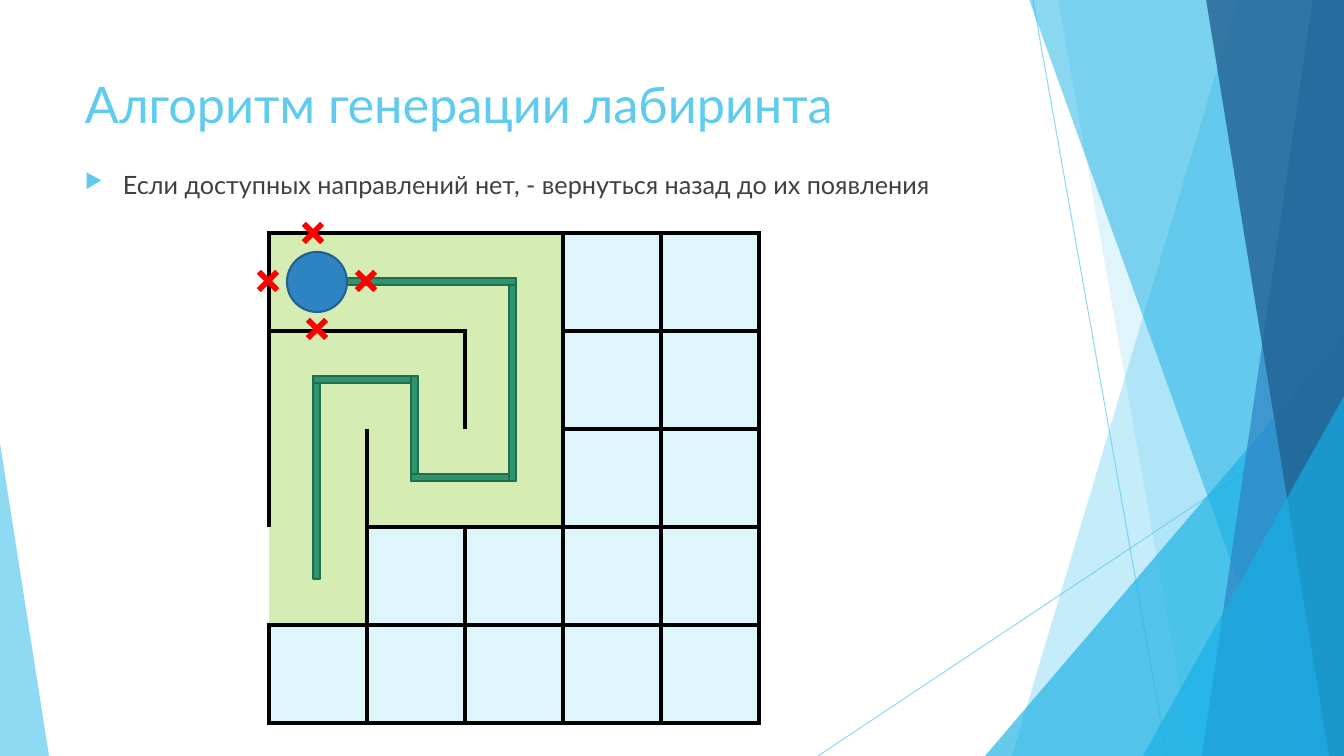
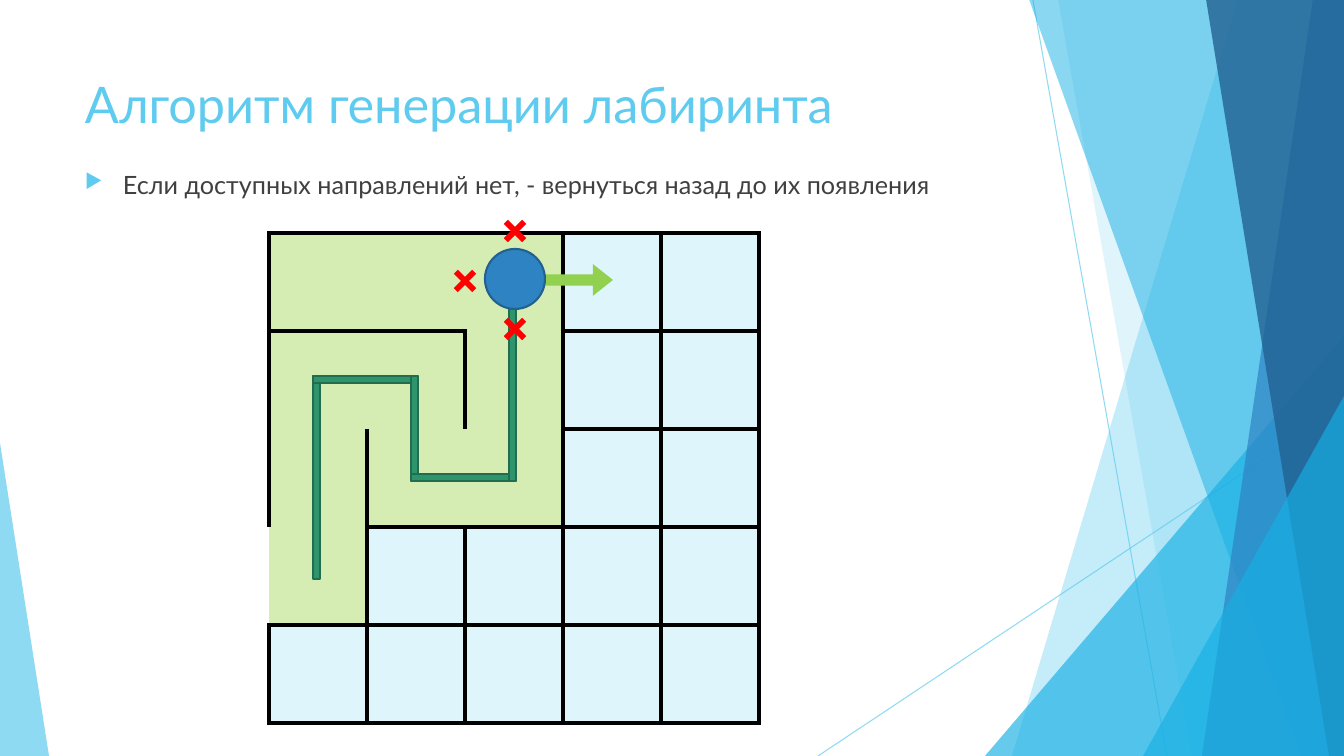
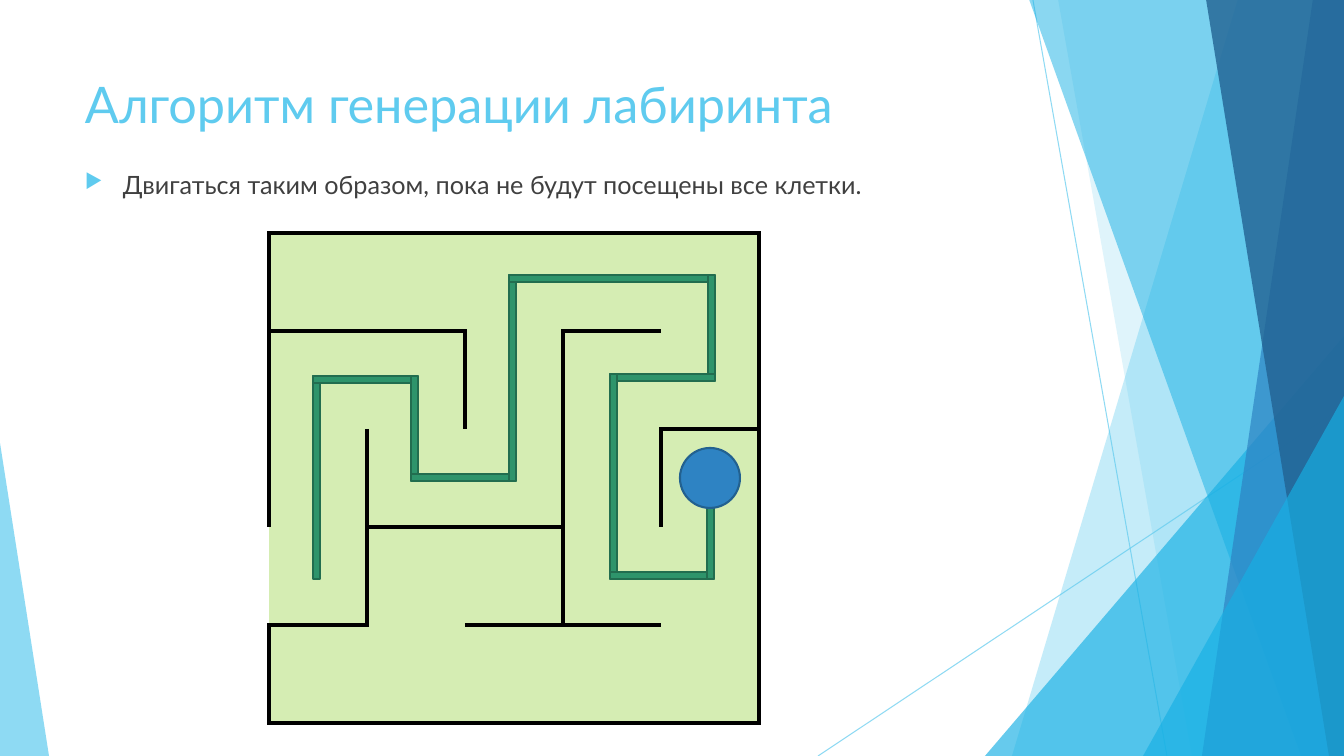
import itertools

import pptx
import pptx.util
import pptx.dml.color
import pptx.enum.shapes
import pptx.enum.text
import pptx.oxml.ns
import pptx.oxml.xmlchemy

SCALE = 914400 / 100.8  # EMU in one px
WIDE, HIGH = 1344, 756
FONT = "Lato"
HUES = {
    "sky": "5FCBEF", "cyan": "17B0E4", "blue": "2E83C3", "navy": "226292",
    "rim": "226190", "text": "404040", "wall": "000000", "seen": "D5EDB3",
    "fresh": "DFF5FC", "trail": "2E946B", "edge": "226D4F", "red": "FF0000",
    "go": "92D050",
}
KIND = pptx.enum.shapes.MSO_SHAPE
NO_GRID = "{2D5ABB26-0587-4C30-8999-92F81FD0307C}"

# Maze: one cell size, corner of the grid and cells per side
CELL, LEFT, TOP, SIDE = 98, 269, 233, 5
BAR, BALL, CROSS = 7, 60, 26

TITLE = "Алгоритм генерации лабиринта"
BACK = "Если доступных направлений нет, - вернуться назад до их появления"
DONE = "Двигаться таким образом, пока не будут посещены все клетки."

# Walls: "flat" has one row per grid line, "tall" one row per cell row
HALF = {
    "seen": ["11100", "11100", "11100", "10000", "00000"],
    "flat": ["11111", "11011", "00011", "01111", "11111", "11111"],
    "tall": ["100111", "101111", "110111", "011111", "111111"],
}
FULL = {
    "seen": ["11111"] * SIDE,
    "flat": ["11111", "11010", "00001", "01100", "10110", "11111"],
    "tall": ["100001", "101101", "110111", "010101", "100001"],
}
START = [(317, 576), (317, 380), (415, 380), (415, 478), (513, 478)]


def px(n):
    return pptx.util.Emu(round(n * SCALE))


def hue(name):
    return pptx.dml.color.RGBColor.from_string(HUES[name])


def node(tag, **attrs):
    item = pptx.oxml.xmlchemy.OxmlElement(tag)
    for key, value in attrs.items():
        item.set(key, str(value))
    return item


def fade(shape, alpha):
    for clr in shape._element.spPr.iter(pptx.oxml.ns.qn("a:srgbClr")):
        clr.append(node("a:alpha", val=alpha * 1000))


def paint(shape, fill, line=None, alpha=100):
    shape.shadow.inherit = False
    shape.fill.solid()
    shape.fill.fore_color.rgb = hue(fill)
    if line:
        shape.line.color.rgb = hue(line)
        shape.line.width = pptx.util.Pt(1.5)
    else:
        shape.line.fill.background()
    if alpha < 100:
        fade(shape, alpha)


def form(slide, kind, box, fill, adj=(), turn=0, **look):
    shape = slide.shapes.add_shape(kind, *map(px, box))
    for i, value in enumerate(adj):
        shape.adjustments[i] = value
    shape.rotation = turn
    paint(shape, fill, **look)


def round_at(spot, size):
    return spot[0] - size // 2, spot[1] - size // 2, size, size


def write(slide, text, box, size, color, bullet=None, before=0):
    frame = slide.shapes.add_textbox(*map(px, box)).text_frame
    frame.word_wrap = True
    frame.vertical_anchor = pptx.enum.text.MSO_ANCHOR.TOP
    para = frame.paragraphs[0]
    para.space_before = pptx.util.Pt(before)
    run = para.add_run()
    run.text = text
    run.font.name = FONT
    run.font.size = pptx.util.Pt(size)
    run.font.color.rgb = hue(color)
    if bullet:
        props = para._p.get_or_add_pPr()
        props.set("marL", str(px(38)))
        props.set("indent", str(-px(38)))
        tint = node("a:buClr")
        tint.append(node("a:srgbClr", val=HUES["sky"]))
        props.extend([tint, node("a:buSzPct", val=80000),
                      node("a:buChar", char=bullet)])


# Shared backdrop
def ray(slide, x1, y1, x2, y2):
    line = slide.shapes.add_connector(
        pptx.enum.shapes.MSO_CONNECTOR.STRAIGHT, *map(px, (x1, y1, x2, y2)))
    line.line.color.rgb = hue("sky")
    line.line.width = pptx.util.Pt(0.75)
    fade(line, 70)
    line._element.spPr.append(node("a:effectLst"))


def band(slide, top, foot, fill, alpha):
    outline = slide.shapes.build_freeform(top, -1, scale=SCALE)
    outline.add_line_segments([(WIDE, -1), (WIDE, HIGH), (foot, HIGH)],
                              close=True)
    paint(outline.convert_to_shape(), fill, alpha=alpha)


def peak(slide, x, y, width, tip, fill, alpha):
    form(slide, KIND.ISOSCELES_TRIANGLE, (x, y, width, HIGH - y), fill,
         adj=[tip], alpha=alpha)


def decor(slide):
    ray(slide, 1033, 0, 1167, HIGH)
    ray(slide, WIDE, 406, 818, HIGH)
    band(slide, 1238, 1012, "sky", 36)
    band(slide, 1058, 1192, "sky", 20)
    peak(slide, 985, 336, 359, 1, "cyan", 66)
    band(slide, 1029, 1301, "cyan", 50)
    band(slide, 1313, 1202, "blue", 70)
    band(slide, 1206, 1329, "navy", 80)
    peak(slide, 1143, 396, 201, 1, "cyan", 66)
    peak(slide, 0, 443, 49, 0, "sky", 70)


# Maze parts
def border(cell, side, wall):
    line = node("a:ln" + side, w=pptx.util.Pt(3) if wall else 0)
    fill = node("a:solidFill" if wall else "a:noFill")
    if wall:
        fill.append(node("a:srgbClr", val=HUES["wall"]))
    line.append(fill)
    cell._tc.get_or_add_tcPr().append(line)


def maze(slide, plan):
    span = px(CELL * SIDE)
    table = slide.shapes.add_table(
        SIDE, SIDE, px(LEFT), px(TOP), span, span).table
    table.first_row = table.horz_banding = False
    style = pptx.oxml.ns.qn("a:tableStyleId")
    table._tbl.tblPr.find(style).text = NO_GRID
    flat, tall = plan["flat"], plan["tall"]
    for r, c in itertools.product(range(SIDE), repeat=2):
        cell = table.cell(r, c)
        walls = {"L": tall[r][c], "R": tall[r][c + 1],
                 "T": flat[r][c], "B": flat[r + 1][c]}
        for side, mark in walls.items():
            border(cell, side, mark == "1")
        cell.fill.solid()
        seen = plan["seen"][r][c] == "1"
        cell.fill.fore_color.rgb = hue("seen" if seen else "fresh")


def trail(slide, spots):
    for (x1, y1), (x2, y2) in zip(spots, spots[1:]):
        box = (min(x1, x2) - 4, min(y1, y2) - 4,
               abs(x2 - x1) + BAR, abs(y2 - y1) + BAR)
        form(slide, KIND.RECTANGLE, box, "trail", line="edge")


def scene(deck, text, plan, tail, ball, stops=(), arrow=None):
    slide = deck.slides.add_slide(deck.slide_layouts[6])
    decor(slide)
    write(slide, TITLE, (75, 68, 948, 98), 36, "sky")
    write(slide, text, (75, 164, 878, 69), 18, "text", bullet="▶", before=10)
    maze(slide, plan)
    trail(slide, START + tail)
    if arrow:
        form(slide, KIND.RIGHT_ARROW, arrow, "go", adj=[0.35, 0.63])
    form(slide, KIND.OVAL, round_at(ball, BALL), "blue", line="rim")
    for spot in stops:
        form(slide, KIND.CROSS, round_at(spot, CROSS), "red",
             adj=[0.39], turn=45)


def main():
    deck = pptx.Presentation()
    deck.slide_width, deck.slide_height = px(WIDE), px(HIGH)
    # Dead end
    scene(deck, BACK, HALF, [(513, 282), (317, 282)], (317, 282),
          stops=[(268, 281), (313, 233), (317, 329), (366, 281)])
    # Step back to a free way
    scene(deck, BACK, HALF, [(513, 280)], (515, 279),
          stops=[(515, 329), (465, 281), (515, 231)],
          arrow=(501, 264, 112, 32))
    # All cells seen
    scene(deck, DONE, FULL,
          [(513, 279), (712, 279), (712, 378), (614, 378), (614, 576),
           (711, 576), (711, 478)], (710, 478))
    deck.save("out.pptx")


if __name__ == "__main__":
    main()
